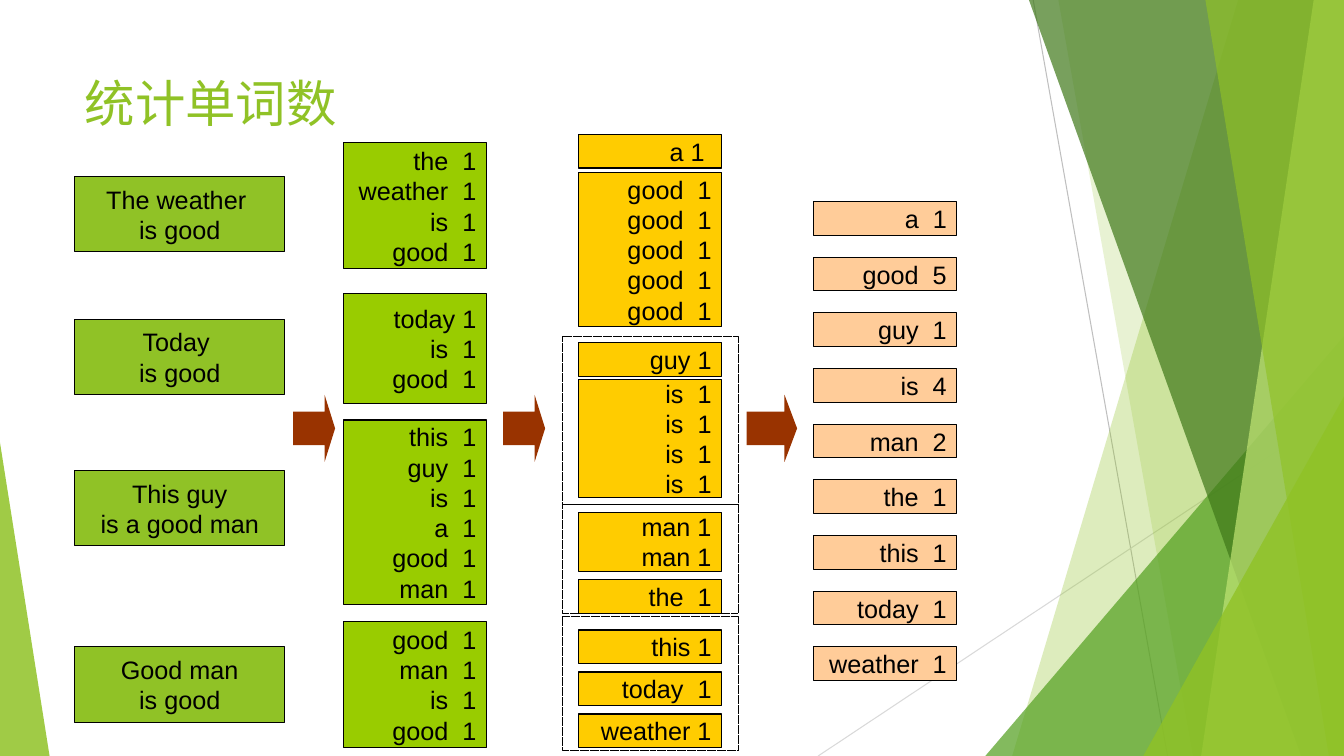
import dataclasses

import lxml.etree
import pptx
import pptx.dml.color
import pptx.enum.dml
import pptx.enum.shapes
import pptx.enum.text
import pptx.oxml.ns
import pptx.util

SHAPE = pptx.enum.shapes.MSO_SHAPE
ALIGN = pptx.enum.text.PP_ALIGN


@dataclasses.dataclass(frozen=True)
class Theme:
    lime: str = "90C226"
    leaf: str = "54A021"
    forest: str = "3F7819"
    pale: str = "C0E474"
    mapped: str = "99CC00"
    shuffled: str = "FFCC00"
    reduced: str = "FFCC99"
    arrow: str = "993300"
    ink: str = "000000"
    rule_dark: str = "BFBFBF"
    rule_light: str = "D9D9D9"
    body_font: str = "Arial"
    title_font: str = "Lato"
    body_size: float = 18
    title_size: float = 36
    line_pitch: float = 21.6
    border: float = 0.75
    hairline: float = 0.1


class SlideBuilder:
    COLUMNS, ROWS = 160, 90
    MARGIN = -0.1

    def __init__(self, presentation, theme):
        self.theme = theme
        self.column = presentation.slide_width / self.COLUMNS
        self.row = presentation.slide_height / self.ROWS
        self.slide = presentation.slides.add_slide(presentation.slide_layouts[6])
        self.shapes = self.slide.shapes

    def point(self, column, row):
        return round(column * self.column), round(row * self.row)

    def area(self, column, row, width, height):
        return *self.point(column, row), *self.point(width, height)

    def color(self, value):
        return pptx.dml.color.RGBColor.from_string(value)

    def paint(self, shape, fill, opacity=100):
        shape.shadow.inherit = False
        shape.line.fill.background()
        shape.fill.solid()
        shape.fill.fore_color.rgb = self.color(fill)
        if opacity < 100:
            color = shape.fill._xPr.find(".//" + pptx.oxml.ns.qn("a:srgbClr"))
            alpha = lxml.etree.SubElement(color, pptx.oxml.ns.qn("a:alpha"))
            alpha.set("val", str(opacity * 1000))

    def outline(self, shape, width):
        shape.line.color.rgb = self.color(self.theme.ink)
        shape.line.width = pptx.util.Pt(width)

    def style_font(self, run, name, size, color):
        run.font.name = name
        run.font.size = pptx.util.Pt(size)
        run.font.color.rgb = self.color(color)

    def rule(self, start, end, color):
        connector = self.shapes.add_connector(
            pptx.enum.shapes.MSO_CONNECTOR.STRAIGHT, *self.point(*start), *self.point(*end))
        connector.line.color.rgb = self.color(color)
        connector.line.width = pptx.util.Pt(self.theme.border)
        properties = connector._element.spPr
        lxml.etree.SubElement(properties, pptx.oxml.ns.qn("a:effectLst"))

    def facet(self, top, bottom, fill, opacity):
        builder = self.shapes.build_freeform(*self.point(top, 0))
        corners = [(self.COLUMNS, 0), (self.COLUMNS, self.ROWS), (bottom, self.ROWS)]
        builder.add_line_segments([self.point(*corner) for corner in corners], close=True)
        self.paint(builder.convert_to_shape(), fill, opacity)

    def triangle(self, column, row, width, apex, fill, opacity):
        shape = self.shapes.add_shape(
            SHAPE.ISOSCELES_TRIANGLE, *self.area(column, row, width, self.ROWS - row))
        shape.adjustments[0] = apex
        self.paint(shape, fill, opacity)

    def title(self, text, column, row, width, height):
        box = self.shapes.add_textbox(*self.area(column, row, width, height))
        box.text_frame.word_wrap = True
        box.text_frame.text = text
        run = box.text_frame.paragraphs[0].runs[0]
        self.style_font(run, self.theme.title_font, self.theme.title_size, self.theme.lime)
        east_asian = lxml.etree.SubElement(run.font._element, pptx.oxml.ns.qn("a:ea"))
        east_asian.set("typeface", self.theme.title_font)

    def box(self, text, column, row, width, height, fill, alignment=ALIGN.RIGHT):
        shape = self.shapes.add_shape(
            SHAPE.RECTANGLE, *self.area(column + self.MARGIN, row, width, height))
        self.paint(shape, fill)
        self.outline(shape, self.theme.border)
        frame = shape.text_frame
        frame.word_wrap = False
        frame.vertical_anchor = pptx.enum.text.MSO_ANCHOR.MIDDLE
        frame.text = text
        for paragraph in frame.paragraphs:
            paragraph.alignment = alignment
            paragraph.line_spacing = pptx.util.Pt(self.theme.line_pitch)
            for run in paragraph.runs:
                self.style_font(run, self.theme.body_font, self.theme.body_size, self.theme.ink)

    def arrow(self, column, row, width, height):
        shape = self.shapes.add_shape(
            SHAPE.RIGHT_ARROW, *self.area(column + self.MARGIN, row, width, height))
        shape.adjustments[0] = 0.5
        shape.adjustments[1] = 0.25
        self.paint(shape, self.theme.arrow)

    def dashed_frame(self, column, row, width, height):
        shape = self.shapes.add_shape(
            SHAPE.RECTANGLE, *self.area(column + self.MARGIN, row, width, height))
        shape.shadow.inherit = False
        shape.fill.background()
        self.outline(shape, self.theme.hairline)
        shape.line.dash_style = pptx.enum.dml.MSO_LINE.DASH


def draw_background(builder, theme):
    builder.rule((123, 0), (139, 90), theme.rule_dark)
    builder.rule((160, 48.4), (97.4, 90), theme.rule_light)
    builder.facet(147.4, 120.5, theme.lime, 30)
    builder.facet(126, 142, theme.lime, 20)
    builder.triangle(117.3, 40, 42.7, 1, theme.leaf, 72)
    builder.facet(122.5, 154.9, theme.forest, 70)
    builder.facet(156.4, 143, theme.pale, 70)
    builder.facet(143.5, 158.2, theme.lime, 65)
    builder.triangle(136.1, 47.2, 23.9, 1, theme.lime, 80)
    builder.triangle(0, 52.7, 5.9, 0, theme.lime, 85)


def draw_word_count(builder, theme):
    sentences = [(21, "The weather \nis good"), (38, "Today \nis good"),
                 (56, "This guy\nis a good man"), (77, "Good man\nis good")]
    for row, text in sentences:
        builder.box(text, 9, row, 25, 9, theme.lime, ALIGN.CENTER)

    mapped = [(17, 15, "the  1\nweather  1\nis  1\ngood  1"),
              (35, 13, "today 1\nis  1\ngood  1"),
              (50, 22, "this  1\nguy  1\nis  1\na  1\ngood  1\nman  1"),
              (74, 15, "good  1\nman  1\nis  1\ngood  1")]
    for row, height, text in mapped:
        builder.box(text, 41, row, 17, height, theme.mapped)

    shuffled = [(16, 4, "a 1 "), (20.5, 18.4, "\n".join(["good  1"] * 5)),
                (40.8, 4, "guy 1"), (45.2, 14, "\n".join(["is  1"] * 4)),
                (61, 7, "man 1\nman 1"), (69, 4, "the  1"),
                (75, 4, "this 1"), (80, 4, "today  1"), (85, 4, "weather 1")]
    for row, height, text in shuffled:
        builder.box(text, 69, row, 17, height, theme.shuffled)

    totals = [("a", 1), ("good", 5), ("guy", 1), ("is", 4), ("man", 2),
              ("the", 1), ("this", 1), ("today", 1), ("weather", 1)]
    for index, (word, count) in enumerate(totals):
        builder.box(f"{word}  {count}", 97, 24 + index * 53 / 8, 17, 4, theme.reduced)

    for column, width in [(35, 5), (60, 5), (89, 6)]:
        builder.arrow(column, 47, width, 8)
    for row, height in [(40, 20), (60, 13), (73.3, 16)]:
        builder.dashed_frame(67, row, 21, height)


def main():
    presentation = pptx.Presentation()
    presentation.slide_width = pptx.util.Inches(40 / 3)
    presentation.slide_height = pptx.util.Inches(7.5)
    theme = Theme()
    builder = SlideBuilder(presentation, theme)
    draw_background(builder, theme)
    builder.title("统计单词数", 8.9, 8, 112.8, 10.6)
    draw_word_count(builder, theme)
    presentation.save("out.pptx")


if __name__ == "__main__":
    main()
